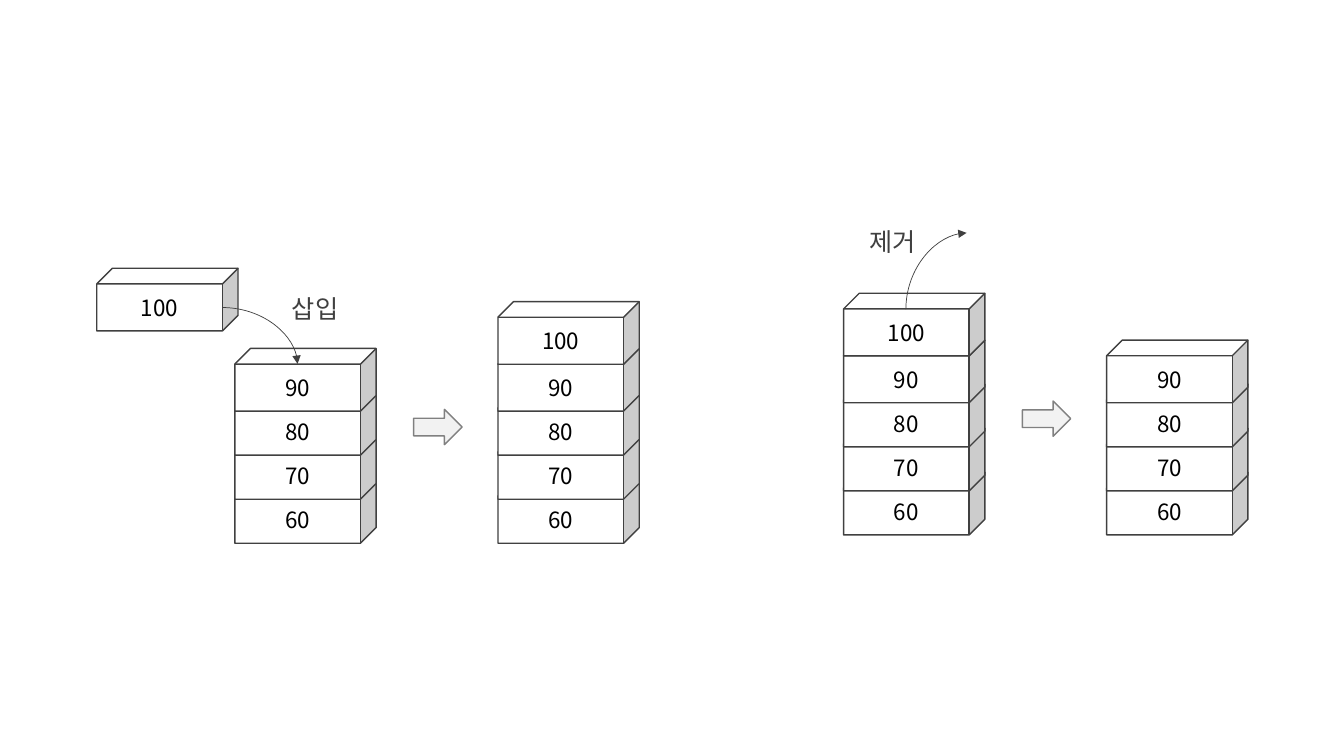
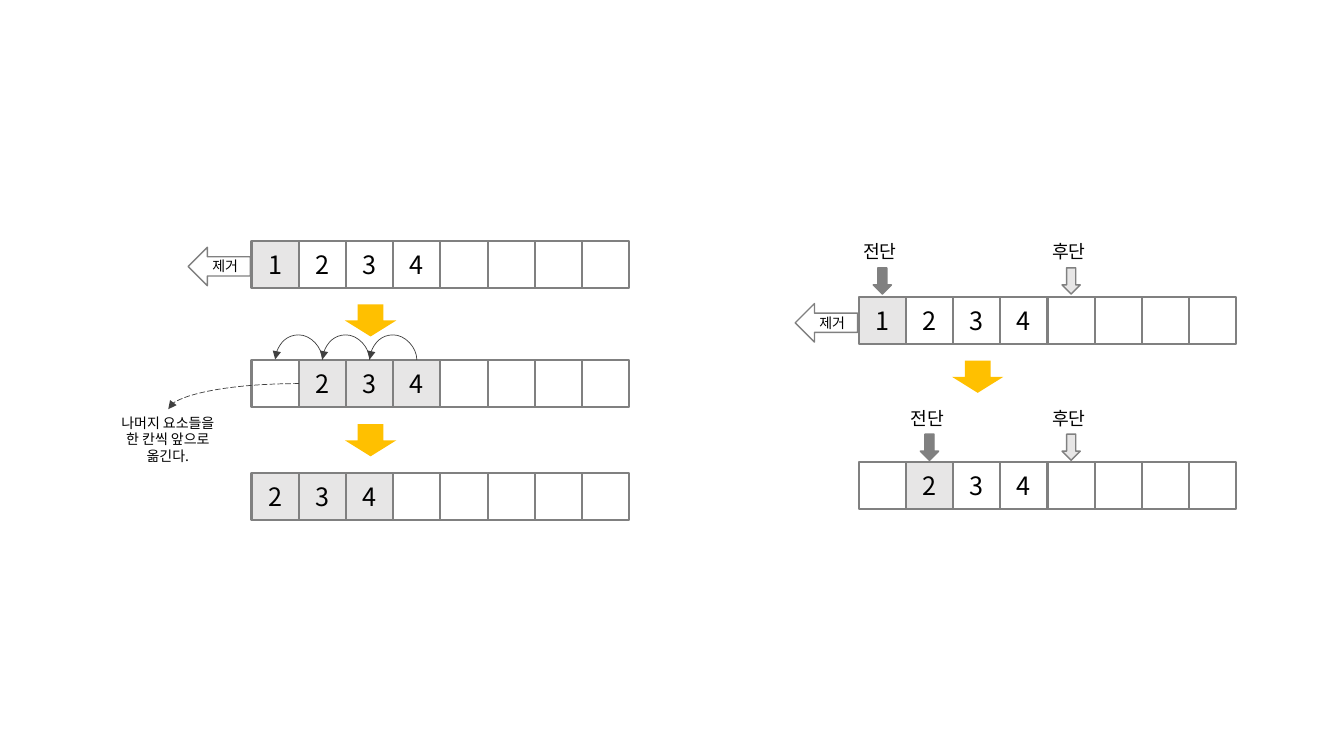
from math import cos, radians, sin

from lxml.etree import SubElement as Sub
from pptx import Presentation
from pptx.dml.color import RGBColor as Rgb
from pptx.enum.dml import MSO_LINE as Dash
from pptx.enum.shapes import MSO_CONNECTOR as Link, MSO_SHAPE as Kind
from pptx.enum.text import MSO_ANCHOR as Anchor, MSO_AUTO_SIZE as Auto, PP_ALIGN as Align
from pptx.oxml.ns import qn
from pptx.util import Cm, Pt

FONT = "Noto Sans CJK KR"
BLACK, DARK, GRAY = "000000", "404040", "808080"
WHITE, PALE, LIGHT, GOLD = "FFFFFF", "F2F2F2", "E7E6E6", "FFC000"
CELL = 1.19
COUNT = 8
RISE = (0, 1.11, 2.22, 3.33, 4.51)


def tint(code):
    return Rgb.from_string(code)


def write(frame, lines, size, color=BLACK, align=Align.CENTER):
    for i, line in enumerate(lines):
        para = frame.paragraphs[0] if i == 0 else frame.add_paragraph()
        para.alignment = align
        run = para.add_run()
        run.text = line
        font = run.font
        font.name, font.size = FONT, Pt(size)
        font.color.rgb = tint(color)
        Sub(run._r.get_or_add_rPr(), qn("a:ea"), typeface=FONT)


def shape(slide, kind, box, fill, line=None, width=1, text="", size=16, turn=0):
    item = slide.shapes.add_shape(kind, *map(Cm, box))
    item.shadow.inherit = False
    item.rotation = turn
    item.fill.solid()
    item.fill.fore_color.rgb = tint(fill)
    if line:
        item.line.color.rgb = tint(line)
        item.line.width = Pt(width)
    else:
        item.line.fill.background()
    if text:
        item.text_frame.vertical_anchor = Anchor.MIDDLE
        write(item.text_frame, [text], size)


def label(slide, box, lines, size, color=BLACK, align=Align.CENTER):
    frame = slide.shapes.add_textbox(*map(Cm, box)).text_frame
    frame.word_wrap = False
    frame.auto_size = Auto.SHAPE_TO_FIT_TEXT
    write(frame, lines, size, color, align)


def curve(slide, start, end, turn=0, bend=None, dash=None):
    mid = [(a + b) / 2 for a, b in zip(start, end)]
    c, s = cos(radians(turn)), sin(radians(turn))
    ends = []
    for x, y in (start, end):
        dx, dy = x - mid[0], y - mid[1]
        ends += [Cm(mid[0] + c * dx + s * dy), Cm(mid[1] - s * dx + c * dy)]
    item = slide.shapes.add_connector(Link.CURVE, *ends)
    item.line.color.rgb = tint(DARK)
    item.line.width = Pt(0.5)
    if dash:
        item.line.dash_style = dash
    props = item._element.spPr
    props.find(qn("a:xfrm")).set("rot", str(turn * 60000))
    geom = props.find(qn("a:prstGeom"))
    if bend:
        guides = geom.find(qn("a:avLst"))
        Sub(guides, qn("a:gd"), name="adj1", fmla=f"val {bend * 100000}")
    else:
        geom.set("prst", "curvedConnector2")
    Sub(props.find(qn("a:ln")), qn("a:tailEnd"), type="triangle")
    Sub(props, qn("a:effectLst"))


def cube(slide, x, y, text):
    shape(slide, Kind.CUBE, (x, y, 3.56, 1.58), WHITE, DARK, text=text)


def stack(slide, x, base, items):
    for rise, text in zip(RISE, items):
        cube(slide, x, base - rise, text)


def change(slide, x, base, old, new):
    stack(slide, x, base, old)
    shape(slide, Kind.DOWN_ARROW, (x + 4.67, base - 1.96, 0.89, 1.22),
          PALE, GRAY, turn=270)
    stack(slide, x + 6.63, base, new)


def row(slide, x, y, digits, shaded):
    for i, digit in enumerate(digits.ljust(COUNT)):
        fill = LIGHT if i in shaded else WHITE
        shape(slide, Kind.RECTANGLE, (x + i * CELL, y, CELL, CELL),
              fill, GRAY, 1.5, digit.strip(), 18)


def pull(slide, x, y):
    shape(slide, Kind.DOWN_ARROW, (x - 1.3, y - 0.14, 0.97, 1.57),
          WHITE, GRAY, turn=90)
    label(slide, (x - 1.24, y + 0.3, 1.22, 0.69), ["제거"], 10, align=Align.LEFT)


def step(slide, x, y):
    shape(slide, Kind.DOWN_ARROW, (x + 2.35, y, 1.3, 0.81), GOLD)


def mark(slide, x, y, col, text, fill):
    mid = x + (col + 0.5) * CELL
    shape(slide, Kind.DOWN_ARROW, (mid - 0.23, y + 0.81, 0.46, 0.66), fill, GRAY)
    label(slide, (mid - 0.73, y, 1.45, 0.81), [text], 13, align=Align.LEFT)


def marks(slide, x, y, front):
    mark(slide, x, y, 4, "후단", LIGHT)
    mark(slide, x, y, front, "전단", GRAY)


def stacks(slide):
    full = ("60", "70", "80", "90", "100")
    change(slide, 5.92, 12.11, full[:4], full)
    cube(slide, 2.44, 6.76, "100")
    curve(slide, (5.6, 7.75), (7.5, 9.17))
    label(slide, (7.04, 7.26, 1.8, 1.02), ["삽입"], 18, DARK)
    change(slide, 21.26, 11.9, full, full[:4])
    curve(slide, (22.83, 7.8), (24.36, 5.87), 90)
    label(slide, (21.59, 5.59, 1.8, 1.02), ["제거"], 18, DARK)


def queues(slide):
    x, top, mid = 6.34, 6.07, 9.07
    row(slide, x, top, "1234", {0})
    row(slide, x, mid, " 234", {1, 2, 3})
    row(slide, x, 11.91, "234", {0, 1, 2})
    pull(slide, x, top)
    for y in (7.67, 10.69):
        step(slide, x, y)
    for col in (3, 2, 1):
        start = x + (col + 0.5) * CELL
        curve(slide, (start, mid), (start - CELL, mid - 0.01), 270, 63)
    curve(slide, (x + CELL, mid + CELL / 2), (4.24, 10.31), 180,
          dash=Dash.LONG_DASH)
    label(slide, (2.67, 10.31, 3.12, 1.55),
          ["나머지 요소들을", "한 칸씩 앞으로", "옮긴다."], 10)

    x, top = 21.64, 7.49
    row(slide, x, top, "1234", {0})
    row(slide, x, 11.64, " 234", {1})
    pull(slide, x, top)
    step(slide, x, 9.09)
    marks(slide, x, 5.94, 0)
    marks(slide, x, 10.13, 1)


def main():
    deck = Presentation()
    deck.slide_width, deck.slide_height = Cm(33.87), Cm(19.05)
    for draw in (stacks, queues):
        draw(deck.slides.add_slide(deck.slide_layouts[6]))
    deck.save("out.pptx")


if __name__ == "__main__":
    main()
